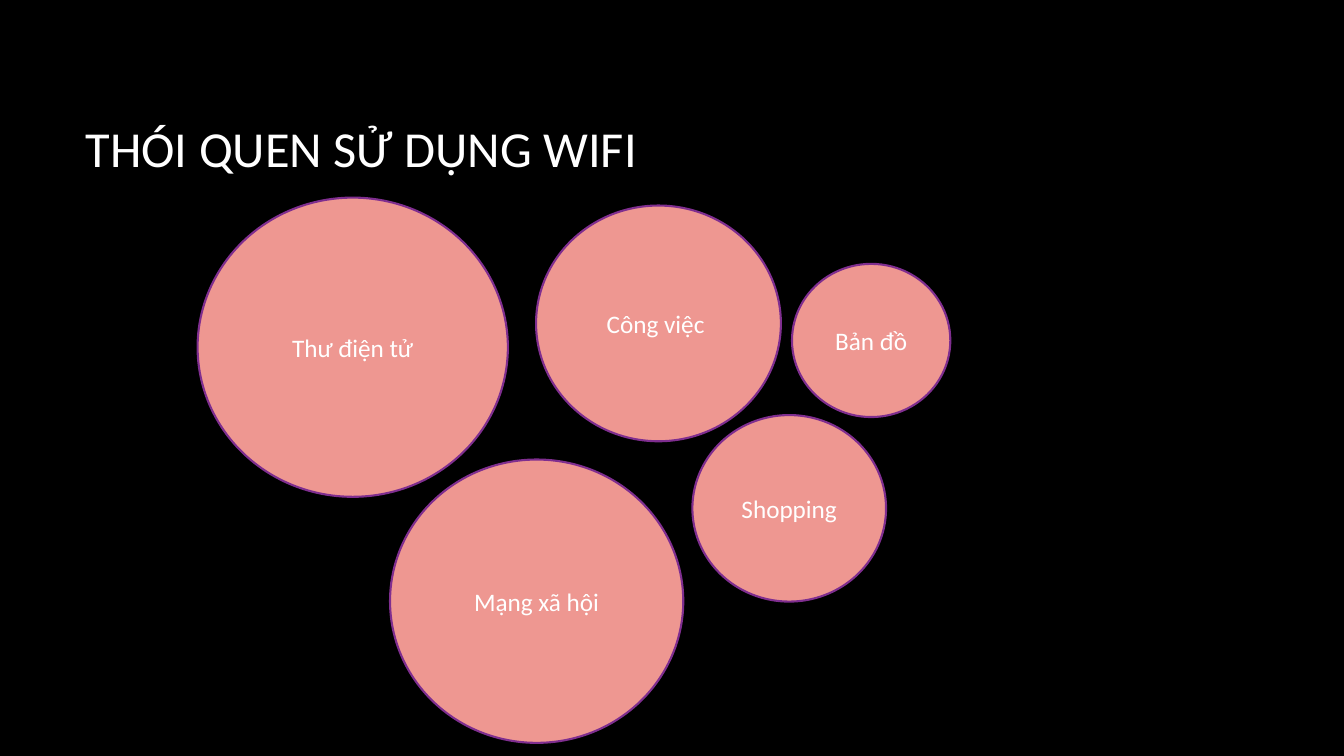
from pptx import Presentation
from pptx.dml.color import RGBColor
from pptx.enum.shapes import MSO_SHAPE
from pptx.enum.text import MSO_ANCHOR, PP_ALIGN
from pptx.util import Cm, Pt

COLORS = {"background": "000000", "text": "FFFFFF", "bubble": "EE9791", "outline": "7F2E8F"}

BUBBLES = [
    ("Thư điện tử", 4.98, 4.98, 7.82, 7.54),
    ("Công việc ", 13.51, 5.18, 6.17, 5.94),
    ("Mạng xã hội", 9.83, 11.58, 7.39, 7.14),
    ("Shopping", 17.45, 10.46, 4.88, 4.7),
    ("Bản đồ", 19.96, 6.65, 3.99, 3.86),
]


class SlideBuilder:
    """Hold the style and current slide, and add titles and bubbles to it."""

    def __init__(self, prs):
        self.s = prs.slides.add_slide(prs.slide_layouts[6])
        self.font = {"name": "Calibri", "bold": False}
        self.paint(self.s.background.fill, "background")

    def paint(self, fill, color):
        fill.solid()
        fill.fore_color.rgb = RGBColor.from_string(COLORS[color])

    def set_text(self, sp, text, size, align):
        tf = sp.text_frame
        tf.word_wrap = True
        tf.vertical_anchor = MSO_ANCHOR.MIDDLE
        p = tf.paragraphs[0]
        p.alignment = align
        r = p.add_run()
        r.text = text
        for key, value in {**self.font, "size": Pt(size)}.items():
            setattr(r.font, key, value)
        self.paint(r.font.fill, "text")

    def title(self, text, *box):
        sp = self.s.shapes.add_textbox(*map(Cm, box))
        self.set_text(sp, text, 36, PP_ALIGN.LEFT)

    def bubble(self, text, *box):
        sp = self.s.shapes.add_shape(MSO_SHAPE.OVAL, *map(Cm, box))
        sp.shadow.inherit = False
        self.paint(sp.fill, "bubble")
        self.paint(sp.line.fill, "outline")
        sp.line.width = Pt(1.5)
        self.set_text(sp, text, 18, PP_ALIGN.CENTER)


def main():
    prs = Presentation()
    prs.slide_width, prs.slide_height = Cm(33.87), Cm(19.05)
    builder = SlideBuilder(prs)
    builder.title("THÓI QUEN SỬ DỤNG WIFI", 1.91, 1.7, 28.14, 4.04)
    for bubble in BUBBLES:
        builder.bubble(*bubble)
    prs.save("out.pptx")


if __name__ == "__main__":
    main()
